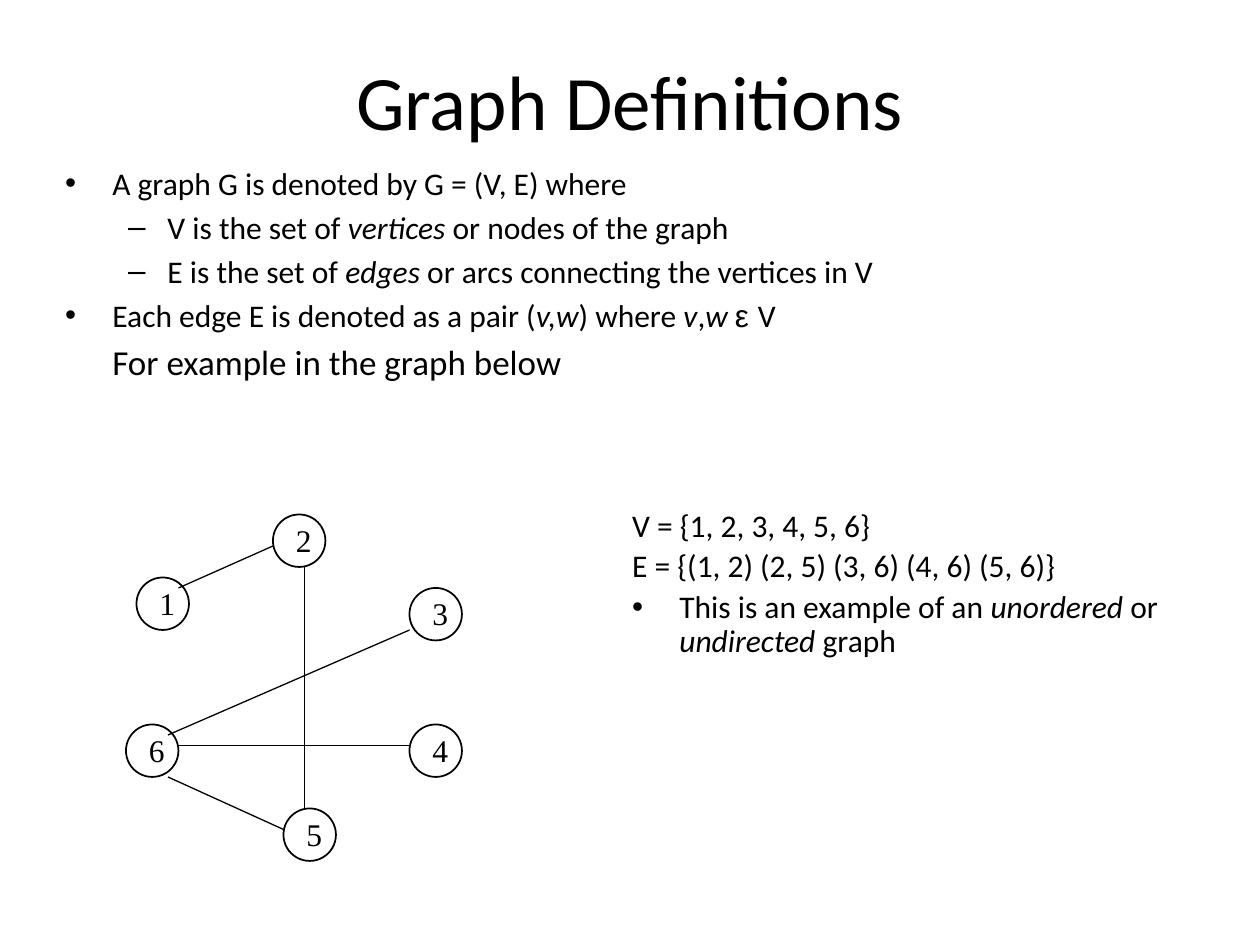
from dataclasses import dataclass
from typing import NamedTuple

from lxml.etree import SubElement
from pptx import Presentation
from pptx.dml.color import RGBColor
from pptx.enum.shapes import MSO_CONNECTOR, MSO_SHAPE
from pptx.enum.text import MSO_ANCHOR, MSO_AUTO_SIZE, PP_ALIGN
from pptx.oxml.ns import qn
from pptx.util import Pt

BLACK = RGBColor(0, 0, 0)
NODE_SIZE = 30
LABEL_INSET = 6
INDENTS = [(27, -27), (58.5, -22.5)]


class Run(NamedTuple):
    text: str
    italic: bool = False
    font: str = "Calibri"


@dataclass
class Para:
    runs: list[Run]
    level: int = 0
    bullet: str = ""
    size: float = 18
    indent: tuple[float, float] | None = None
    line_spacing: float | None = None


class Node(NamedTuple):
    label: str
    left: float
    top: float


class Edge(NamedTuple):
    x1: float
    y1: float
    x2: float
    y2: float


DEFINITIONS = [
    Para([Run("A graph G is denoted by G = (V, E) where")], bullet="•"),
    Para([Run("V is the set of "), Run("vertices", True),
          Run(" or nodes of the graph")], 1, "–"),
    Para([Run("E is the set of "), Run("edges", True),
          Run(" or arcs connecting the vertices in V")], 1, "–"),
    Para([Run("Each edge E is denoted as a pair ("), Run("v,w", True),
          Run(") where "), Run("v", True), Run(","), Run("w ", True),
          Run("ε ", font="Arial"), Run("V")], bullet="•"),
    Para([Run("For example in the graph below")], size=20, indent=(27, 0)),
]
EXAMPLE = [
    Para([Run("V = {1, 2, 3, 4, 5, 6}")], line_spacing=0.9),
    Para([Run("E = {(1, 2) (2, 5) (3, 6) (4, 6) (5, 6)}")], line_spacing=0.9),
    Para([Run("This is an example of an "), Run("unordered", True), Run(" or "),
          Run("undirected ", True), Run("graph")], bullet="•", line_spacing=0.9),
]
NODES = [
    Node("1", 78, 330), Node("2", 156, 294), Node("5", 162, 462),
    Node("6", 72, 414), Node("4", 234, 414), Node("3", 234, 336),
]
EDGES = [
    Edge(102, 336, 156, 312), Edge(174, 324, 174, 462), Edge(102, 426, 234, 426),
    Edge(96, 444, 162, 474), Edge(96, 420, 234, 360),
]


def place(sp, left: float, top: float, width: float, height: float) -> None:
    box = {"left": left, "top": top, "width": width, "height": height}
    for name, value in box.items():
        setattr(sp, name, Pt(value))


def add_run(p, text: str, font: str, size: float, italic: bool = False) -> None:
    r = p.add_run()
    r.text = text
    for name, value in {"name": font, "size": Pt(size), "italic": italic}.items():
        setattr(r.font, name, value)
    r.font.color.rgb = BLACK


def fill_body(sp, paras: list[Para]) -> None:
    tf = sp.text_frame
    tf.auto_size = MSO_AUTO_SIZE.NONE
    tf.vertical_anchor = MSO_ANCHOR.TOP
    for i, para in enumerate(paras):
        p = tf.add_paragraph() if i else tf.paragraphs[0]
        p.level = para.level
        if para.line_spacing:
            p.line_spacing = para.line_spacing
        margin, first = para.indent or INDENTS[para.level]
        pPr = p._p.get_or_add_pPr()
        pPr.set("marL", str(Pt(margin)))
        pPr.set("indent", str(Pt(first)))
        if para.bullet:
            SubElement(pPr, qn("a:buChar")).set("char", para.bullet)
        else:
            SubElement(pPr, qn("a:buNone"))
        for run in para.runs:
            add_run(p, run.text, run.font, para.size, run.italic)


def add_node(shapes, node: Node) -> None:
    sp = shapes.add_shape(MSO_SHAPE.OVAL, Pt(node.left), Pt(node.top),
                          Pt(NODE_SIZE), Pt(NODE_SIZE))
    sp.shadow.inherit = False
    sp.fill.background()
    sp.line.color.rgb = BLACK
    sp.line.width = Pt(1)
    label = shapes.add_textbox(Pt(node.left + LABEL_INSET), Pt(node.top),
                               Pt(NODE_SIZE - LABEL_INSET), Pt(29))
    tf = label.text_frame
    tf.word_wrap = True
    tf.auto_size = MSO_AUTO_SIZE.SHAPE_TO_FIT_TEXT
    add_run(tf.paragraphs[0], node.label, "Times New Roman", 18)


def add_edge(shapes, edge: Edge) -> None:
    line = shapes.add_connector(MSO_CONNECTOR.STRAIGHT, *map(Pt, edge))
    line.line.color.rgb = BLACK
    line.line.width = Pt(0.75)
    SubElement(line._element.spPr, qn("a:effectLst"))


prs = Presentation()
prs.slide_width, prs.slide_height = Pt(720), Pt(540)
slide = prs.slides.add_slide(prs.slide_layouts.get_by_name("Two Content"))
title, definitions, example = slide.placeholders

# Title
place(title, 36, 12, 648, 90)
title.text_frame.vertical_anchor = MSO_ANCHOR.MIDDLE
p = title.text_frame.paragraphs[0]
p.alignment = PP_ALIGN.CENTER
add_run(p, "Graph Definitions", "Calibri", 44)

# Definitions and worked example
place(definitions, 30, 90, 642, 188)
fill_body(definitions, DEFINITIONS)
place(example, 354, 288, 330, 162)
fill_body(example, EXAMPLE)

# Graph drawing
graph = slide.shapes.add_group_shape()
for node in NODES:
    add_node(graph.shapes, node)
for edge in EDGES:
    add_edge(graph.shapes, edge)

prs.save("out.pptx")
